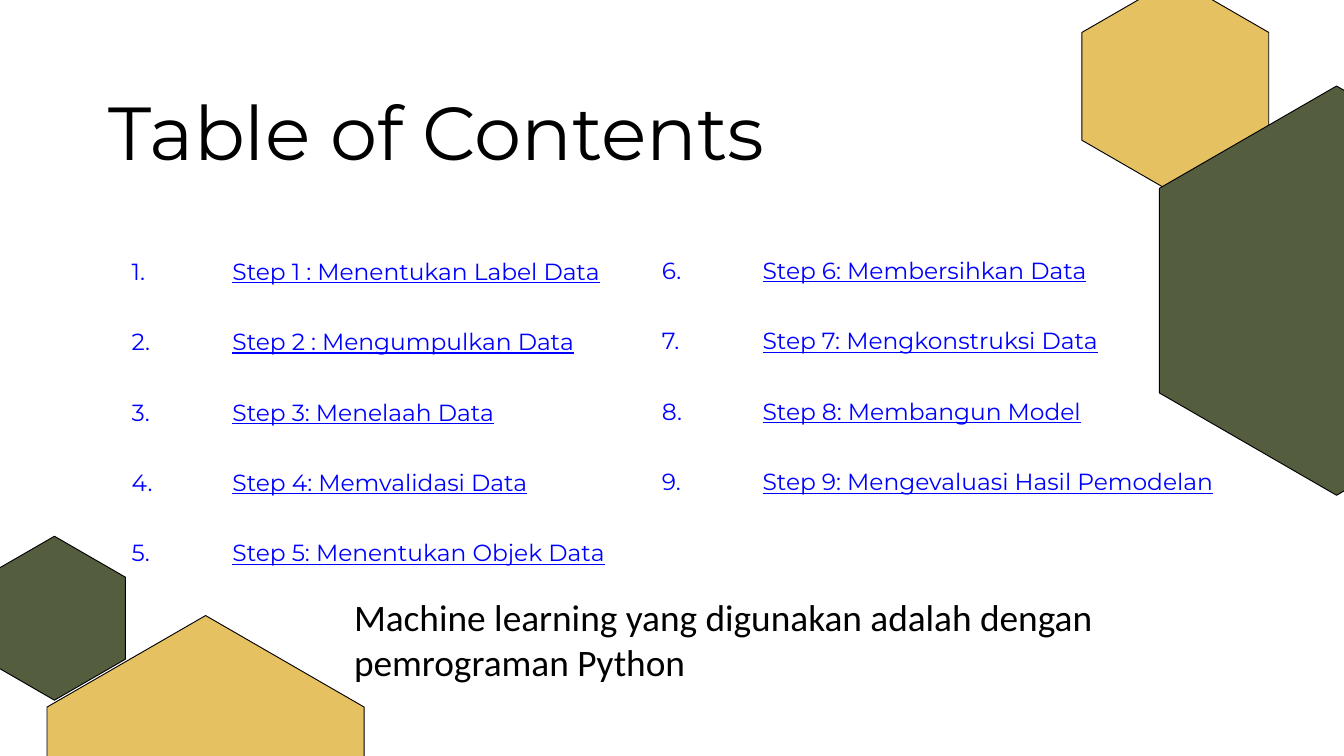
from dataclasses import dataclass
from math import sqrt

from lxml.etree import SubElement
from pptx import Presentation
from pptx.dml.color import RGBColor
from pptx.enum.text import MSO_ANCHOR, MSO_AUTO_SIZE, PP_ALIGN
from pptx.oxml.ns import qn
from pptx.util import Inches, Pt

COLORS = {"olive": "545D3E", "gold": "E5C162", "black": "000000", "link": "0000FF"}


@dataclass
class Hexagon:
    cx: float
    top: float
    height: float
    color: str


@dataclass
class StepList:
    left: float
    top: float
    width: float
    height: float
    start: int
    steps: list[str]


HEXAGONS = [
    Hexagon(0.81, 7.98, 2.44, "olive"),
    Hexagon(3.06, 9.16, 5.45, "gold"),
    Hexagon(17.49, -0.32, 3.21, "gold"),
    Hexagon(19.89, 1.28, 6.09, "olive"),
]

STEP_LISTS = [
    StepList(1.96, 3.19, 7.54, 8.35, 1, [
        "Step 1 : Menentukan Label Data",
        "Step 2 : Mengumpulkan Data",
        "Step 3: Menelaah Data",
        "Step 4: Memvalidasi Data",
        "Step 5: Menentukan Objek Data",
    ]),
    StepList(9.85, 3.18, 9.03, 4.08, 6, [
        "Step 6: Membersihkan Data",
        "Step 7: Mengkonstruksi Data",
        "Step 8: Membangun Model",
        "Step 9: Mengevaluasi Hasil Pemodelan",
    ]),
]


def rgb(name: str) -> RGBColor:
    return RGBColor.from_string(COLORS[name])


def format_run(r, font: str, size: float, color: str) -> None:
    r.font.name = font
    r.font.size = Pt(size)
    r.font.color.rgb = rgb(color)


def clear_margins(tf) -> None:
    tf.margin_left = tf.margin_top = tf.margin_right = tf.margin_bottom = 0


def add_hexagon(slide, h: Hexagon) -> None:
    half = h.height * sqrt(3) / 4
    left, right = h.cx - half, h.cx + half
    upper, lower = h.top + h.height / 4, h.top + h.height * 3 / 4
    points = [(right, upper), (right, lower), (h.cx, h.top + h.height),
              (left, lower), (left, upper)]
    fb = slide.shapes.build_freeform(Inches(h.cx), Inches(h.top))
    fb.add_line_segments([(Inches(x), Inches(y)) for x, y in points], close=True)
    sp = fb.convert_to_shape()
    sp.shadow.inherit = False
    sp.fill.solid()
    sp.fill.fore_color.rgb = rgb(h.color)
    sp.line.color.rgb = rgb("black")
    sp.line.width = Pt(1)


def number_paragraph(p, start: int) -> None:
    pPr = p._p.get_or_add_pPr()
    pPr.set("marL", str(Inches(1.5)))
    pPr.set("indent", str(Inches(-1.5)))
    num = SubElement(pPr, qn("a:buAutoNum"), type="arabicPeriod")
    if start > 1:
        num.set("startAt", str(start))


def add_step_list(slide, s: StepList) -> None:
    sp = slide.shapes.add_textbox(Inches(s.left), Inches(s.top), Inches(s.width), Inches(s.height))
    tf = sp.text_frame
    tf.word_wrap = True
    clear_margins(tf)
    tf.text = "\n".join(s.steps)
    for p in tf.paragraphs:
        p.line_spacing = Pt(75.5)
        number_paragraph(p, s.start)
        format_run(p.runs[0], "Montserrat", 25, "link")
        p.runs[0].font.underline = True


def set_title(slide, text: str) -> None:
    sp = slide.shapes.title
    sp.left, sp.top, sp.width, sp.height = Inches(1.62), Inches(1.28), Inches(14.21), Inches(1.36)
    tf = sp.text_frame
    tf.text = text
    tf.word_wrap = True
    tf.auto_size = MSO_AUTO_SIZE.NONE
    tf.vertical_anchor = MSO_ANCHOR.TOP
    clear_margins(tf)
    p = tf.paragraphs[0]
    p.alignment = PP_ALIGN.LEFT
    p.line_spacing = Pt(96.1)
    format_run(p.runs[0], "Montserrat", 80.4, "black")


def add_note(slide, text: str) -> None:
    sp = slide.shapes.add_textbox(Inches(5.17), Inches(8.79), Inches(14.5), Inches(1.45))
    tf = sp.text_frame
    tf.word_wrap = True
    tf.text = text
    format_run(tf.paragraphs[0].runs[0], "Calibri", 40, "black")


def main() -> None:
    prs = Presentation()
    prs.slide_width, prs.slide_height = Inches(20), Inches(11.25)
    slide = prs.slides.add_slide(prs.slide_layouts[5])
    set_title(slide, "Table of Contents")
    for h in HEXAGONS:
        add_hexagon(slide, h)
    for s in STEP_LISTS:
        add_step_list(slide, s)
    add_note(slide, "Machine learning yang digunakan adalah dengan pemrograman Python")
    prs.save("out.pptx")


if __name__ == "__main__":
    main()
